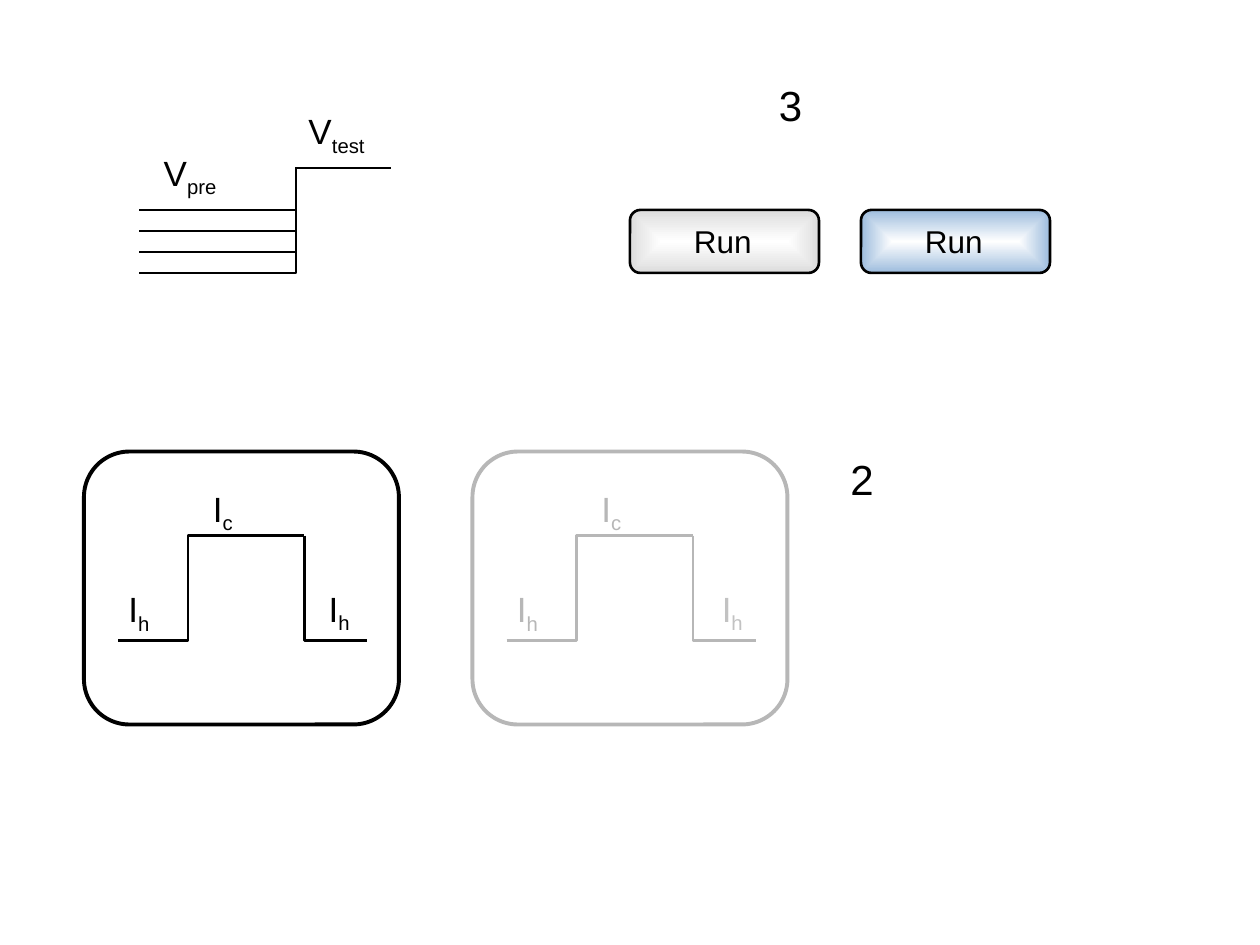
import pptx
import pptx.dml.color
import pptx.enum.shapes
import pptx.enum.text
import pptx.oxml
import pptx.oxml.ns
import pptx.util

COLORS = {
    "black": "000000",
    "white": "FFFFFF",
    "faded": "B7B7B7",
    "faded_last": "C2C2C2",
    "gray_edge": "DDDDDD",
    "blue_edge": "9DBCDD",
}
ROUNDED = pptx.enum.shapes.MSO_SHAPE.ROUNDED_RECTANGLE
rgb = pptx.dml.color.RGBColor.from_string

deck = pptx.Presentation()
deck.slide_width = pptx.util.Inches(10)
deck.slide_height = pptx.util.Inches(7.5)
slide = deck.slides.add_slide(deck.slide_layouts[6])
cell = deck.slide_width / 60


def trace(shapes, points, color):
    corners = [(round(col * cell), round(row * cell)) for col, row in points]
    builder = shapes.build_freeform(*corners[0])
    builder.add_line_segments(corners[1:], close=False)
    pulse = builder.convert_to_shape()
    pulse.shadow.inherit = False
    pulse.fill.background()
    pulse.line.color.rgb = rgb(COLORS[color])
    pulse.line.width = pptx.util.Pt(1.5)


def label(shapes, col, row, cols, rows, size, color, main, subscript=""):
    box = shapes.add_textbox(*(round(n * cell) for n in (col, row, cols, rows)))
    box.text_frame.word_wrap = False
    box.text_frame.auto_size = pptx.enum.text.MSO_AUTO_SIZE.SHAPE_TO_FIT_TEXT
    for text, baseline in ((main, None), (subscript, "-25000")):
        if text:
            run = box.text_frame.paragraphs[0].add_run()
            run.text = text
            run.font.name = "Arial"
            run.font.size = pptx.util.Pt(size)
            run.font.color.rgb = rgb(COLORS[color])
            if baseline:
                run.font._element.set("baseline", baseline)


steps = slide.shapes.add_group_shape().shapes
for level in (12, 11, 10, 13):
    trace(steps, [(18.6, 8), (14.1, 8), (14.1, level), (6.6, level)], "black")
label(slide.shapes, 7.2, 6.9, 3.9, 2.9, 20, "black", "V", "pre")
label(slide.shapes, 14.1, 4.92, 4.1, 2.9, 20, "black", "V", "test")

label(slide.shapes, 39.9, 21.3, 2.4, 3, 24, "black", "2")
label(slide.shapes, 36.5, 3.5, 2.4, 3, 24, "black", "3")

for left, edge in ((30, "gray_edge"), (41, "blue_edge")):
    button_parts = slide.shapes.add_group_shape().shapes
    button = button_parts.add_shape(
        ROUNDED, *(round(n * cell) for n in (left, 10, 9, 3)))
    button.shadow.inherit = False
    button.line.color.rgb = rgb(COLORS["black"])
    button.line.width = pptx.util.Pt(1.5)
    button.fill.gradient()
    for stop, position, color in zip(button.fill.gradient_stops, (0, 1), ("white", edge)):
        stop.position = position
        stop.color.rgb = rgb(COLORS[color])
    gradient = button._element.spPr.find(pptx.oxml.ns.qn("a:gradFill"))
    gradient.remove(gradient.find(pptx.oxml.ns.qn("a:lin")))
    gradient.append(pptx.oxml.parse_xml(
        f'<a:path {pptx.oxml.ns.nsdecls("a")} path="rect">'
        '<a:fillToRect l="50000" t="50000" r="50000" b="50000"/></a:path>'))
    label(button_parts, left + 2.45, 10.28, 4.1, 2.4, 18, "black", "Run")

for left, color, last_color, last_col in (
        (4, "black", "black", 11.06), (22.5, "faded", "faded_last", 11.28)):
    panel_parts = slide.shapes.add_group_shape().shapes
    panel = panel_parts.add_shape(
        ROUNDED, *(round(n * cell) for n in (left, 21.5, 15, 13)))
    panel.shadow.inherit = False
    panel.fill.solid()
    panel.fill.fore_color.rgb = rgb(COLORS["white"])
    panel.line.color.rgb = rgb(COLORS[color])
    panel.line.width = pptx.util.Pt(2.25)
    rise, fall = left + 4.95, left + 10.5
    trace(panel_parts, [(left + 1.63, 30.5), (rise, 30.5), (rise, 25.5), (fall, 25.5)], color)
    trace(panel_parts, [(fall, 25.5), (fall, 30.5), (left + 13.5, 30.5)], color)
    for col, row, subscript, ink in (
            (1.52, 27.7, "h", color), (5.55, 22.9, "c", color), (last_col, 27.66, "h", last_color)):
        label(panel_parts, left + col, row, 2.35, 2.9, 20, ink, "I", subscript)

deck.save("out.pptx")
